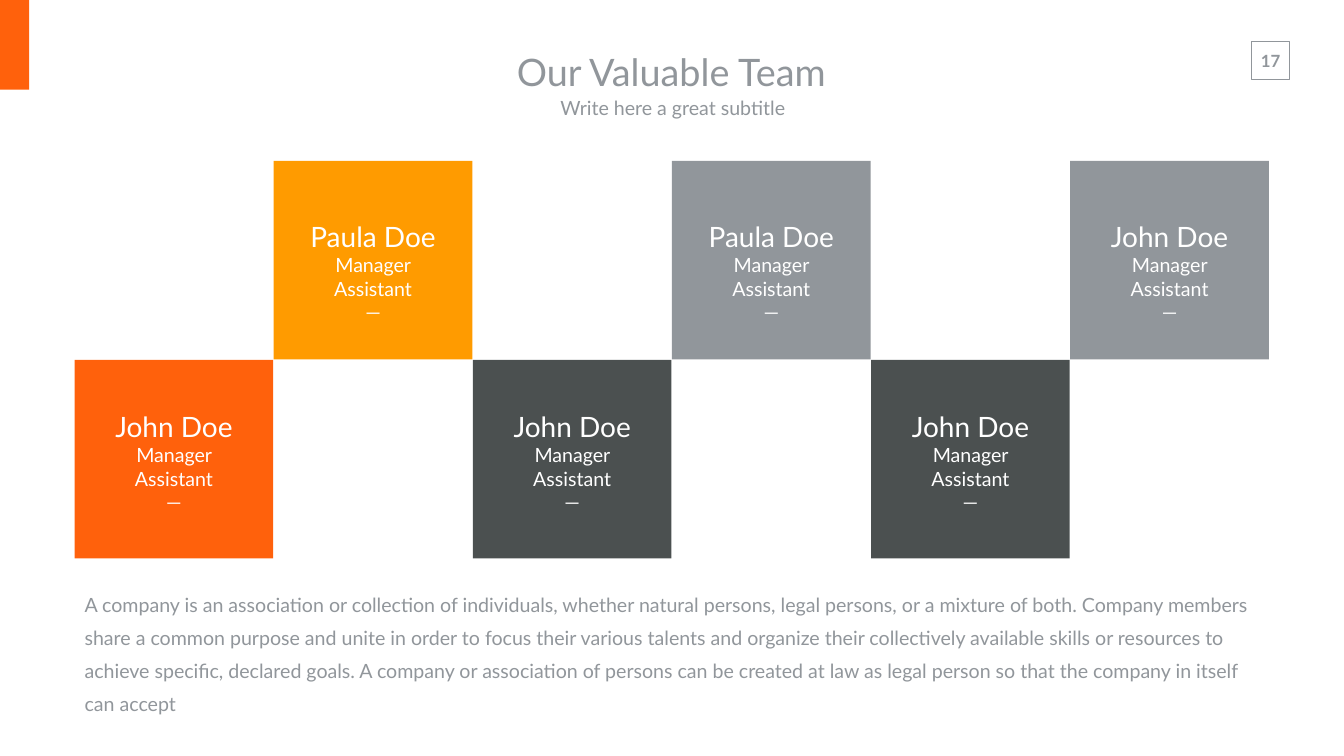
"""Build the team slide: six checkered member tiles above a company paragraph."""
from typing import NamedTuple

from pptx import Presentation
from pptx import util as u
from pptx.dml.color import RGBColor
from pptx.enum import shapes, text

PX = 9144
FONT = "Lato"
ORANGE = RGBColor(0xFF, 0x61, 0x0C)
AMBER = RGBColor(0xFF, 0x9B, 0x00)
GRAY = RGBColor(0x91, 0x96, 0x9B)
SLATE = RGBColor(0x4B, 0x50, 0x50)
WHITE = RGBColor(0xFF, 0xFF, 0xFF)

TILE, STEP = 394, 395
GRID_LEFT, GRID_TOP = 148, 319
LABEL_INSET, LABEL_W, LABEL_H = 38, 318, 219
LABEL_TOPS = (431, 808)

BODY = (
    "A company is an association or collection of individuals, whether natural persons, "
    "legal persons, or a mixture of both. Company members share a common purpose and unite "
    "in order to focus their various talents and organize their collectively available "
    "skills or resources to achieve specific, declared goals. A company or association of "
    "persons can be created at law as legal person so that the company in itself can accept"
)


class Box(NamedTuple):
    left: int
    top: int
    width: int
    height: int


class Line(NamedTuple):
    text: str
    size: int
    color: RGBColor = GRAY
    bold: bool = False


class Member(NamedTuple):
    name: str
    row: int
    color: RGBColor


MEMBERS = (
    Member("John Doe", 1, ORANGE),
    Member("Paula Doe", 0, AMBER),
    Member("John Doe", 1, SLATE),
    Member("Paula Doe", 0, GRAY),
    Member("John Doe", 1, SLATE),
    Member("John Doe", 0, GRAY),
)


def emu(box: Box) -> list[int]:
    """Turn a box in px into EMU lengths."""
    return [v * PX for v in box]


def add_rect(slide, box: Box, fill: RGBColor | None = None, line: RGBColor | None = None):
    """Draw a flat rectangle with an optional fill and outline."""
    sp = slide.shapes.add_shape(shapes.MSO_SHAPE.RECTANGLE, *emu(box))
    sp.shadow.inherit = False
    if fill is None:
        sp.fill.background()
    else:
        sp.fill.solid()
        sp.fill.fore_color.rgb = fill
    if line is None:
        sp.line.fill.background()
    else:
        sp.line.color.rgb = line
        sp.line.width = u.Pt(1)
    return sp


def write(sp, lines: list[Line], insets: tuple[int, int] = (10, 5),
          align=text.PP_ALIGN.CENTER, anchor=text.MSO_ANCHOR.TOP,
          spacing: float = 1.0, wrap: bool = True) -> None:
    """Fill a shape with one formatted paragraph per line."""
    tf = sp.text_frame
    tf.word_wrap = wrap
    tf.auto_size = text.MSO_AUTO_SIZE.NONE
    tf.vertical_anchor = anchor
    tf.margin_left = tf.margin_right = insets[0] * PX
    tf.margin_top = tf.margin_bottom = insets[1] * PX
    for i, line in enumerate(lines):
        p = tf.paragraphs[0] if i == 0 else tf.add_paragraph()
        p.text = line.text
        p.alignment = align
        p.line_spacing = spacing
        p.font.name = FONT
        p.font.size = u.Pt(line.size)
        p.font.bold = line.bold
        p.font.color.rgb = line.color


def add_text(slide, box: Box, lines: list[Line], **style) -> None:
    """Add a text box and write its lines."""
    write(slide.shapes.add_textbox(*emu(box)), lines, **style)


def add_member(slide, column: int, member: Member) -> None:
    """Draw a member's tile and label in the checkered grid."""
    left = GRID_LEFT + column * STEP
    add_rect(slide, Box(left, GRID_TOP + member.row * STEP, TILE, TILE), member.color)
    label = Box(left + LABEL_INSET, LABEL_TOPS[member.row], LABEL_W, LABEL_H)
    add_text(slide, label, [Line(member.name, 40, WHITE),
                            Line("Manager Assistant", 28, WHITE),
                            Line("—", 28, WHITE)])


def main() -> None:
    """Compose and save the slide."""
    prs = Presentation()
    prs.slide_width, prs.slide_height = 2666 * PX, 1500 * PX
    slide = prs.slides.add_slide(prs.slide_layouts[5])

    heading = {"insets": (27, 13), "anchor": text.MSO_ANCHOR.MIDDLE}
    title = slide.shapes.title
    title.left, title.top, title.width, title.height = emu(Box(815, 83, 1033, 118))
    write(title, [Line("Our Valuable Team", 54)], **heading)
    add_text(slide, Box(818, 176, 1033, 74), [Line("Write here a great subtitle", 28)], **heading)

    add_rect(slide, Box(0, 0, 58, 178), ORANGE)
    add_rect(slide, Box(2483, 82, 75, 75), line=GRAY)
    add_text(slide, Box(2480, 90, 81, 61), [Line("17", 24, bold=True)],
             insets=(20, 10), wrap=False)

    for column, member in enumerate(MEMBERS):
        add_member(slide, column, member)

    add_text(slide, Box(158, 1153, 2350, 205), [Line(BODY, 28)],
             align=text.PP_ALIGN.LEFT, spacing=1.4)
    prs.save("out.pptx")


if __name__ == "__main__":
    main()
